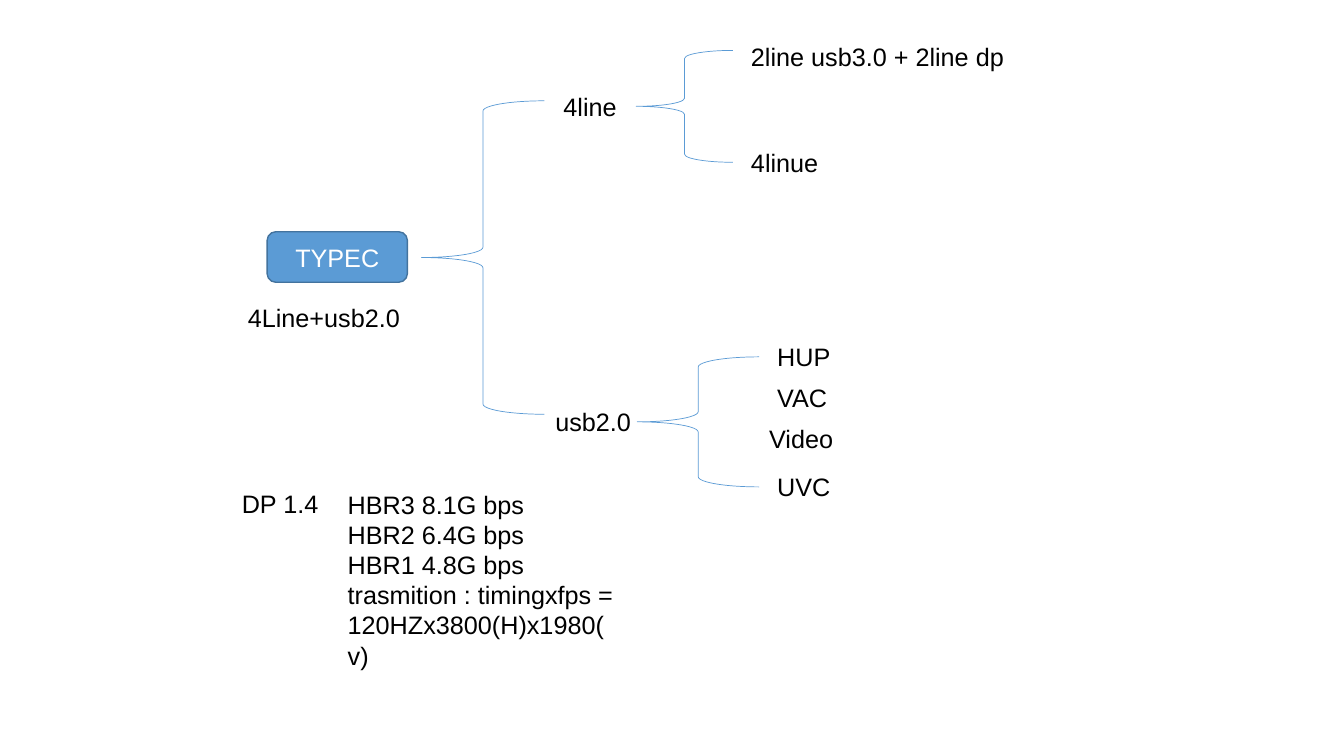
import pptx
import pptx.util
import pptx.dml.color
import pptx.enum.shapes
import pptx.enum.text

Inches, Pt = pptx.util.Inches, pptx.util.Pt
RGB = pptx.dml.color.RGBColor.from_string
SHAPE = pptx.enum.shapes.MSO_SHAPE
ALIGN = pptx.enum.text.PP_ALIGN
ANCHOR = pptx.enum.text.MSO_ANCHOR
AUTO = pptx.enum.text.MSO_AUTO_SIZE

COLORS = {"blue": "5B9BD5", "edge": "43739E", "text": "000000", "white": "FFFFFF"}


class Diagram:
    font = {"name": "Arial", "size": Pt(18)}

    def __init__(self, slide):
        self.s = slide

    def fill_text(self, tf, lines, color, frame, align):
        for key, value in frame.items():
            setattr(tf, key, value)
        for i, line in enumerate(lines):
            p = tf.paragraphs[0] if i == 0 else tf.add_paragraph()
            p.alignment = align
            r = p.add_run()
            r.text = line
            for key, value in self.font.items():
                setattr(r.font, key, value)
            r.font.color.rgb = RGB(COLORS[color])

    def shape(self, kind, box, line, width):
        sp = self.s.shapes.add_shape(kind, *map(Inches, box))
        sp.shadow.inherit = False
        sp.line.color.rgb = RGB(COLORS[line])
        sp.line.width = Pt(width)
        return sp

    def node(self, text, *box):
        sp = self.shape(SHAPE.ROUNDED_RECTANGLE, box, "edge", 1)
        sp.fill.solid()
        sp.fill.fore_color.rgb = RGB(COLORS["blue"])
        frame = {"word_wrap": True, "vertical_anchor": ANCHOR.MIDDLE}
        self.fill_text(sp.text_frame, [text], "white", frame, ALIGN.CENTER)

    def brace(self, *box):
        self.shape(SHAPE.LEFT_BRACE, box, "blue", 0.5).fill.background()

    def label(self, lines, left, top, width, height=0.4):
        sp = self.s.shapes.add_textbox(*map(Inches, (left, top, width, height)))
        frame = {"word_wrap": True, "auto_size": AUTO.SHAPE_TO_FIT_TEXT}
        self.fill_text(sp.text_frame, lines, "text", frame, ALIGN.LEFT)


prs = pptx.Presentation()
prs.slide_width, prs.slide_height = Inches(13.33), Inches(7.5)
d = Diagram(prs.slides.add_slide(prs.slide_layouts[6]))

# Root
d.node("TYPEC", 2.65, 2.3, 1.39, 0.5)
d.label(["4Line+usb2.0"], 2.36, 2.95, 1.97)

# Braces: root, 4line, usb2.0
for box in [(4.18, 1, 1.22, 3.11), (6.31, 0.5, 0.96, 1.11), (6.32, 3.54, 1.21, 1.29)]:
    d.brace(*box)

# Branches and leaves
for text, left, top, width in [
    ("4line", 5.49, 0.86, 2.87),
    ("usb2.0", 5.41, 3.98, 1.34),
    ("2line usb3.0 + 2line dp", 7.35, 0.36, 2.87),
    ("4linue", 7.35, 1.41, 0.89),
    ("HUP", 7.61, 3.34, 1.25),
    ("VAC", 7.61, 3.74, 1.25),
    ("Video", 7.53, 4.15, 1.25),
    ("UVC", 7.61, 4.63, 1.25),
]:
    d.label([text], left, top, width)

# DP bandwidth notes
d.label(["DP 1.4"], 2.3, 4.8, 1.15)
rates = [f"{name} {rate}G bps" for name, rate in
         [("HBR3", 8.1), ("HBR2", 6.4), ("HBR1", 4.8)]]
d.label(rates + ["trasmition : timingxfps = 120HZx3800(H)x1980(v)"], 3.35, 4.8, 2.85, 1.61)

prs.save("out.pptx")
